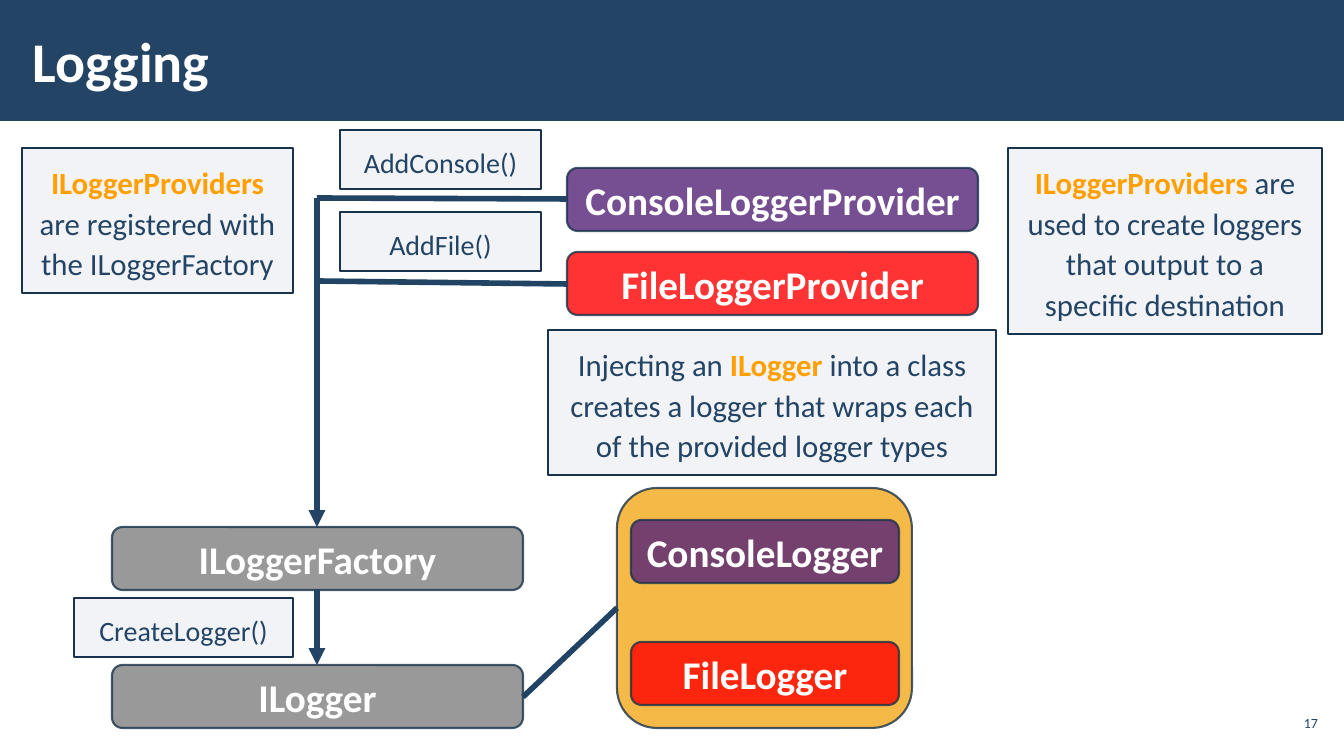
from pptx import Presentation
from pptx.dml.color import RGBColor
from pptx.enum.shapes import MSO_CONNECTOR, MSO_SHAPE
from pptx.enum.text import MSO_ANCHOR, MSO_AUTO_SIZE, PP_ALIGN
from pptx.oxml.ns import qn
from pptx.util import Pt
from lxml import etree

PX = 12192000 / 1344  # EMU in one px
RECT, ROUNDED = MSO_SHAPE.RECTANGLE, MSO_SHAPE.ROUNDED_RECTANGLE
STRAIGHT = MSO_CONNECTOR.STRAIGHT
TOP, MIDDLE = MSO_ANCHOR.TOP, MSO_ANCHOR.MIDDLE
LEFT, CENTER, RIGHT = PP_ALIGN.LEFT, PP_ALIGN.CENTER, PP_ALIGN.RIGHT

NAVY = RGBColor(0x23, 0x44, 0x65)
LINK_NAVY = RGBColor(0x21, 0x43, 0x64)
OUTLINE = RGBColor(0x1A, 0x33, 0x4C)
PURPLE = RGBColor(0x54, 0x24, 0x78)
RED = RGBColor(0xFF, 0x00, 0x00)
GRAY = RGBColor(0x80, 0x80, 0x80)
AMBER = RGBColor(0xF2, 0xA8, 0x19)
MIST = RGBColor(0xAD, 0xB4, 0xC3)
ORANGE = RGBColor(0xFF, 0xA0, 0x00)
WHITE = RGBColor(0xFF, 0xFF, 0xFF)


def px(*lengths):
    return [round(length * PX) for length in lengths]


def write(frame, runs, size, align, anchor, margins, spacing=1.0):
    """Fill a text frame with one paragraph of (text, colour, bold) runs."""
    left, top, right, bottom = px(*margins)
    layout = {"word_wrap": True, "vertical_anchor": anchor, "margin_left": left,
              "margin_top": top, "margin_right": right, "margin_bottom": bottom}
    for attribute, value in layout.items():
        setattr(frame, attribute, value)
    paragraph = frame.paragraphs[0]
    paragraph.alignment = align
    paragraph.line_spacing = spacing
    for text, color, bold in runs:
        run = paragraph.add_run()
        run.text = text
        run.font.color.rgb = color
        for attribute, value in {"name": "Calibri", "size": Pt(size), "bold": bold}.items():
            setattr(run.font, attribute, value)


deck = Presentation()
deck.slide_width, deck.slide_height = px(1344, 756)
slide = deck.slides.add_slide(deck.slide_layouts[6])
shapes = slide.shapes

# Header band, title and page number
band = shapes.add_shape(RECT, *px(0, 0, 1344, 121))
band.shadow.inherit = False
band.fill.solid()
band.fill.fore_color.rgb = NAVY
band.line.fill.background()

title = shapes.add_textbox(*px(21, 11, 1048, 98))
write(title.text_frame, [("Logging", WHITE, True)], 40, LEFT, MIDDLE, (12, 4, 12, 4))
page_number = shapes.add_textbox(*px(1275, 706, 47, 34))
write(page_number.text_frame, [("17", NAVY, False)], 10, RIGHT, MIDDLE, (4, 4, 4, 4))

# Logger types: name, box, fill
LOGGER_TYPES = [
    ("ConsoleLoggerProvider", (567, 168, 411, 63), PURPLE),
    ("FileLoggerProvider", (567, 252, 411, 63), RED),
    ("ILoggerFactory", (112, 527, 411, 63), GRAY),
    ("ILogger", (112, 665, 411, 63), GRAY),
    ("", (617, 488, 295, 240), AMBER),
    ("ConsoleLogger", (631, 520, 268, 63), PURPLE),
    ("FileLogger", (631, 642, 268, 63), RED),
]
for name, box, color in LOGGER_TYPES:
    logger_type = shapes.add_shape(ROUNDED, *px(*box))
    logger_type.shadow.inherit = False
    logger_type.fill.solid()
    logger_type.fill.fore_color.rgb = color
    logger_type.line.color.rgb = OUTLINE
    logger_type.line.width = Pt(1.5)
    for tint in logger_type.element.spPr.iter(qn("a:srgbClr")):
        etree.SubElement(tint, qn("a:alpha"), val="80000")
    if name:
        write(logger_type.text_frame, [(name, WHITE, True)], 28, CENTER, MIDDLE,
              (10, 5, 10, 5))

# Links: from, to, colour, arrowhead
LINKS = [
    ((567, 199), (317, 198), LINK_NAVY, False),
    ((317, 198), (317, 527), NAVY, True),
    ((567, 284), (317, 281), LINK_NAVY, False),
    ((317, 590), (317, 665), NAVY, True),
    ((617, 608), (523, 697), LINK_NAVY, False),
]
for start, end, color, has_arrow in LINKS:
    link = shapes.add_connector(STRAIGHT, *px(*start, *end))
    link.line.color.rgb = color
    link.line.width = Pt(4)
    if has_arrow:
        etree.SubElement(link.line._get_or_add_ln(), qn("a:tailEnd"), type="triangle")
    etree.SubElement(link.element.spPr, qn("a:effectLst"))

# Notes and method calls: box, text size, runs
NOTES = [
    ((1008, 148, 314, 186), 22, [
        ("ILoggerProviders", ORANGE, True),
        (" are used to create loggers that output to a specific destination", NAVY, False)]),
    ((22, 148, 271, 145), 22, [
        ("ILoggerProviders ", ORANGE, True),
        ("are registered with the ILoggerFactory", NAVY, False)]),
    ((548, 330, 448, 145), 22, [
        ("Injecting an ", NAVY, False),
        ("ILogger", ORANGE, True),
        (" into a class creates a logger that wraps each of the provided logger types",
         NAVY, False)]),
    ((340, 130, 201, 59), 20, [("AddConsole()", NAVY, False)]),
    ((340, 212, 201, 59), 20, [("AddFile()", NAVY, False)]),
    ((74, 598, 219, 59), 20, [("CreateLogger()", NAVY, False)]),
]
for box, size, runs in NOTES:
    note = shapes.add_shape(RECT, *px(*box))
    note.shadow.inherit = False
    note.fill.solid()
    note.fill.fore_color.rgb = MIST
    tint = next(note.element.spPr.iter(qn("a:srgbClr")))
    etree.SubElement(tint, qn("a:alpha"), val="15000")
    note.line.color.rgb = OUTLINE
    note.line.width = Pt(1)
    write(note.text_frame, runs, size, CENTER, TOP, (16, 12, 16, 12), 1.1)
    note.text_frame.auto_size = MSO_AUTO_SIZE.SHAPE_TO_FIT_TEXT

deck.save("out.pptx")
